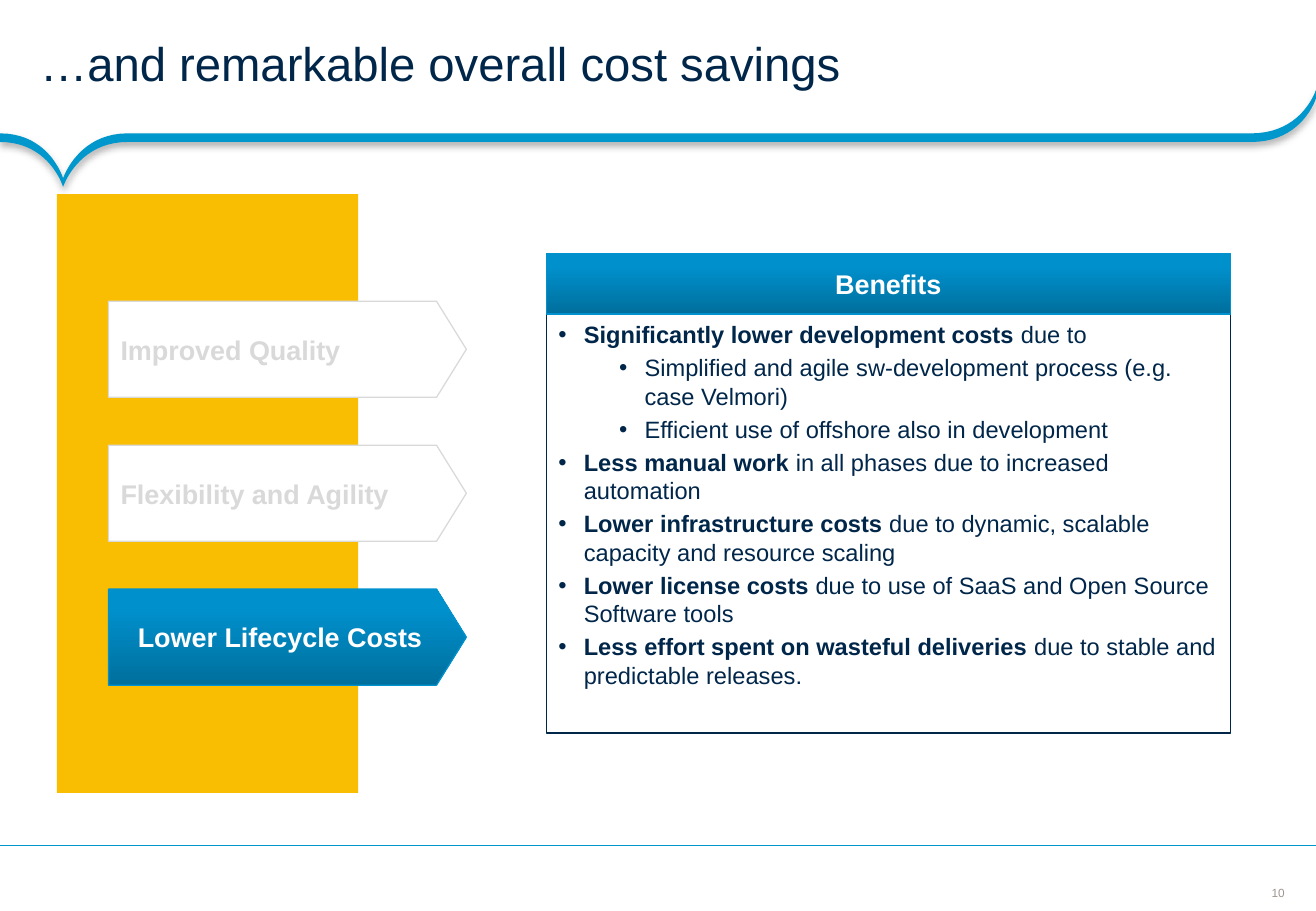
from copy import deepcopy
from lxml.etree import SubElement
from pptx import Presentation
from pptx.dml.color import RGBColor
from pptx.enum.shapes import MSO_CONNECTOR, MSO_SHAPE as Shape
from pptx.enum.text import MSO_ANCHOR as Anchor, MSO_AUTO_SIZE as AutoSize, PP_ALIGN as Align
from pptx.oxml.ns import qn
from pptx.util import Cm, Pt

COLORS = {name: RGBColor.from_string(value) for name, value in {
    "navy": "00264A", "blue": "0098CC", "edge": "0092CE", "yellow": "F9BE01",
    "white": "FFFFFF", "pale": "D9D9D9", "grey": "9F958F", "black": "000000",
    "deep": "006F9D", "middle": "0090CC", "top": "0091CD"}.items()}
GRADIENT = [(0, "deep"), (0.8, "middle"), (1, "top")]


def add_label(kind, left, top, width, height, text, active):
    """Add a bold label shape: blue gradient if active, otherwise white and pale."""
    shape = page.shapes.add_shape(kind, Cm(left), Cm(top), Cm(width), Cm(height))
    shape.shadow.inherit = False
    shape.line.width = Pt(0.75)
    shape.line.color.rgb = COLORS["edge" if active else "pale"]
    frame = shape.text_frame
    frame.vertical_anchor = Anchor.MIDDLE
    if active:
        shape.fill.gradient()
        shape.fill.gradient_angle = 90
        stops = shape._element.spPr.find(".//" + qn("a:gsLst"))
        stops.append(deepcopy(stops[0]))
        for stop, (position, color) in zip(shape.fill.gradient_stops, GRADIENT):
            stop.position = position
            stop.color.rgb = COLORS[color]
        frame.margin_left = frame.margin_right = Cm(0.5)
    else:
        shape.fill.solid()
        shape.fill.fore_color.rgb = COLORS["white"]
    para = frame.paragraphs[0]
    para.text = text
    para.alignment = Align.CENTER if active else Align.LEFT
    set_font(para, 16, "white" if active else "pale")
    para.font.bold = True
    return shape


def set_font(para, size, color):
    para.font.name = "Arial"
    para.font.size = Pt(size)
    para.font.color.rgb = COLORS[color]


deck = Presentation()
deck.slide_width, deck.slide_height = Cm(27.51), Cm(19.05)
page = deck.slides.add_slide(deck.slide_layouts[1])

# Title
title = page.shapes.title
title.left, title.top, title.width, title.height = Cm(0), Cm(0), Cm(27.51), Cm(2.79)
frame = title.text_frame
frame.auto_size = AutoSize.NONE
frame.vertical_anchor = Anchor.MIDDLE
frame.margin_left, frame.margin_right = Cm(0.84), Cm(0.46)
frame.margin_top = frame.margin_bottom = Cm(0.1)
para = frame.paragraphs[0]
para.text = "…and remarkable overall cost savings"
para.alignment = Align.LEFT
para.line_spacing = 0.85
set_font(para, 28, "navy")

# Curved ribbon: three cubic curves, then the same edge shifted down
STEPS, THICKNESS = 20, 0.18
curves = [
    [(0, 2.79), (1.04, 2.79), (1.32, 3.73), (1.32, 3.73)],
    [(1.32, 3.73), (1.32, 3.73), (1.63, 2.79), (2.67, 2.79)],
    [(26.16, 2.79), (27.23, 2.79), (27.51, 1.88), (27.51, 1.88)],
]
upper = []
for curve in curves:
    for step in range(STEPS + 1):
        t = step / STEPS
        weights = [(1 - t) ** 3, 3 * t * (1 - t) ** 2, 3 * t * t * (1 - t), t ** 3]
        upper.append(tuple(sum(weight * point[axis] for weight, point in zip(weights, curve))
                           for axis in (0, 1)))
lower = [(x, y + THICKNESS) for x, y in reversed(upper)]
outline = [(Cm(x), Cm(y)) for x, y in upper + lower]
builder = page.shapes.build_freeform(*outline[0])
builder.add_line_segments(outline[1:], close=True)
ribbon = builder.convert_to_shape()
ribbon.fill.solid()
ribbon.fill.fore_color.rgb = COLORS["blue"]
ribbon.line.fill.background()
ribbon.shadow.inherit = False
effects = ribbon._element.spPr.find(qn("a:effectLst"))
shadow = SubElement(effects, qn("a:outerShdw"), blurRad=str(Pt(4)), dist=str(Pt(2)),
                    dir="5400000", algn="t", rotWithShape="0")
shade = SubElement(shadow, qn("a:srgbClr"), val=str(COLORS["black"]))
SubElement(shade, qn("a:alpha"), val="31000")

# Footer line and page number
rule = page.shapes.add_connector(MSO_CONNECTOR.STRAIGHT, Cm(27.51), Cm(17.68), Cm(0), Cm(17.68))
rule.line.color.rgb = COLORS["blue"]
rule.line.width = Pt(0.75)
SubElement(rule._element.spPr, qn("a:effectLst"))

number = page.shapes.add_textbox(Cm(26.57), Cm(18.52), Cm(0.3), Cm(0.3))
frame = number.text_frame
frame.word_wrap = False
frame.vertical_anchor = Anchor.MIDDLE
frame.margin_left = frame.margin_right = frame.margin_top = frame.margin_bottom = 0
para = frame.paragraphs[0]
para.text = "10"
para.alignment = Align.CENTER
set_font(para, 7, "grey")

# Yellow panel with the three arrows
panel = page.shapes.add_shape(Shape.RECTANGLE, Cm(1.19), Cm(4.06), Cm(6.3), Cm(12.52))
panel.shadow.inherit = False
panel.fill.solid()
panel.fill.fore_color.rgb = COLORS["yellow"]
panel.line.fill.background()

arrows = ["Improved Quality", "Flexibility and Agility", "Lower Lifecycle Costs"]
for index, text in enumerate(arrows):
    arrow = add_label(Shape.PENTAGON, 2.27, 6.3 + 3.01 * index, 7.48, 2.01, text,
                      active=text == arrows[-1])
    arrow.adjustments[0] = 0.31

# Benefits
add_label(Shape.RECTANGLE, 11.42, 5.3, 14.3, 1.27, "Benefits", active=True)

benefits = [  # level, bold start, plain rest
    (0, "Significantly lower development costs ", "due to"),
    (1, "", "Simplified and agile sw-development process (e.g. case Velmori)"),
    (1, "", "Efficient use of offshore also in development"),
    (0, "Less manual work", " in all phases due to increased automation"),
    (0, "Lower infrastructure costs", " due to dynamic, scalable capacity and resource scaling"),
    (0, "Lower license costs", " due to use of SaaS and Open Source Software tools"),
    (0, "Less effort spent on wasteful deliveries", " due to stable and predictable releases."),
]
body = page.placeholders[1]
body.left, body.top, body.width, body.height = Cm(11.42), Cm(6.57), Cm(14.3), Cm(8.76)
body.fill.solid()
body.fill.fore_color.rgb = COLORS["white"]
body.line.color.rgb = COLORS["navy"]
body.line.width = Pt(0.75)
frame = body.text_frame
frame.auto_size = AutoSize.NONE
for index, (level, start, rest) in enumerate(benefits):
    para = frame.add_paragraph() if index else frame.paragraphs[0]
    para.level = level
    properties = para._p.get_or_add_pPr()
    properties.set("marL", str(Cm(0.53 + 1.27 * level)))
    properties.set("indent", str(Cm(-0.53)))
    SubElement(properties, qn("a:buChar"), char="•")
    set_font(para, 14, "navy")
    for text, bold in ((start, True), (rest, False)):
        if text:
            span = para.add_run()
            span.text = text
            span.font.bold = bold

deck.save("out.pptx")
